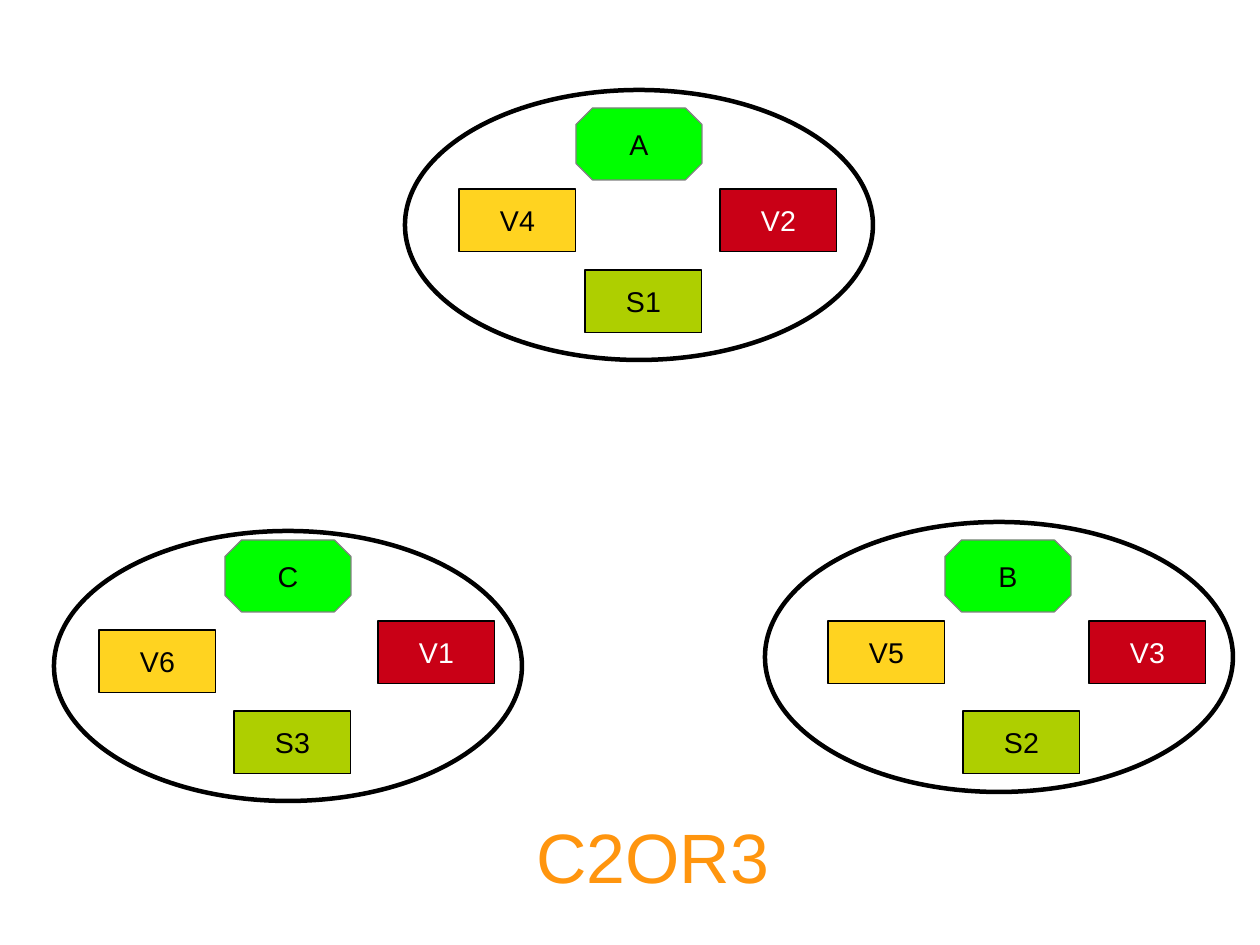
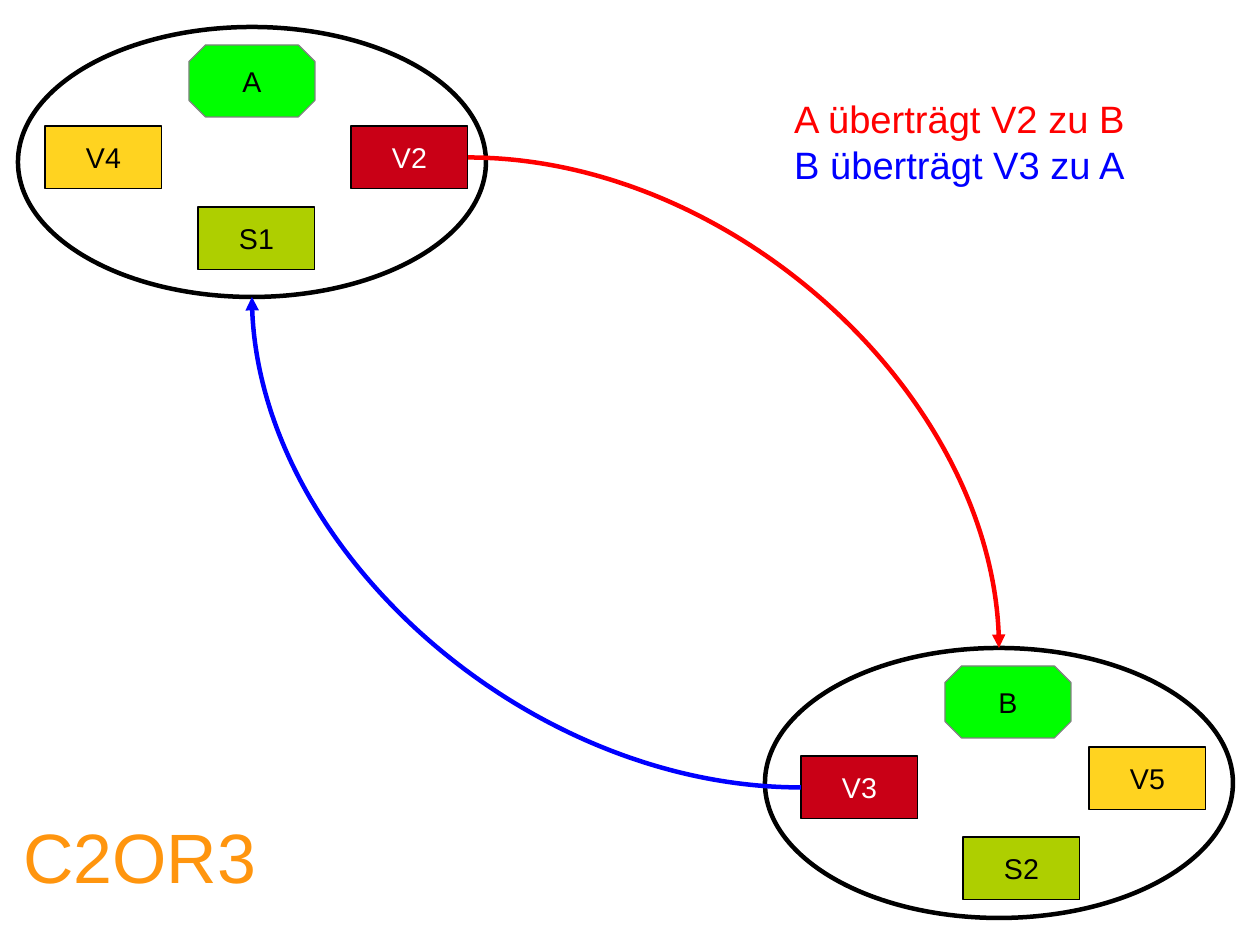
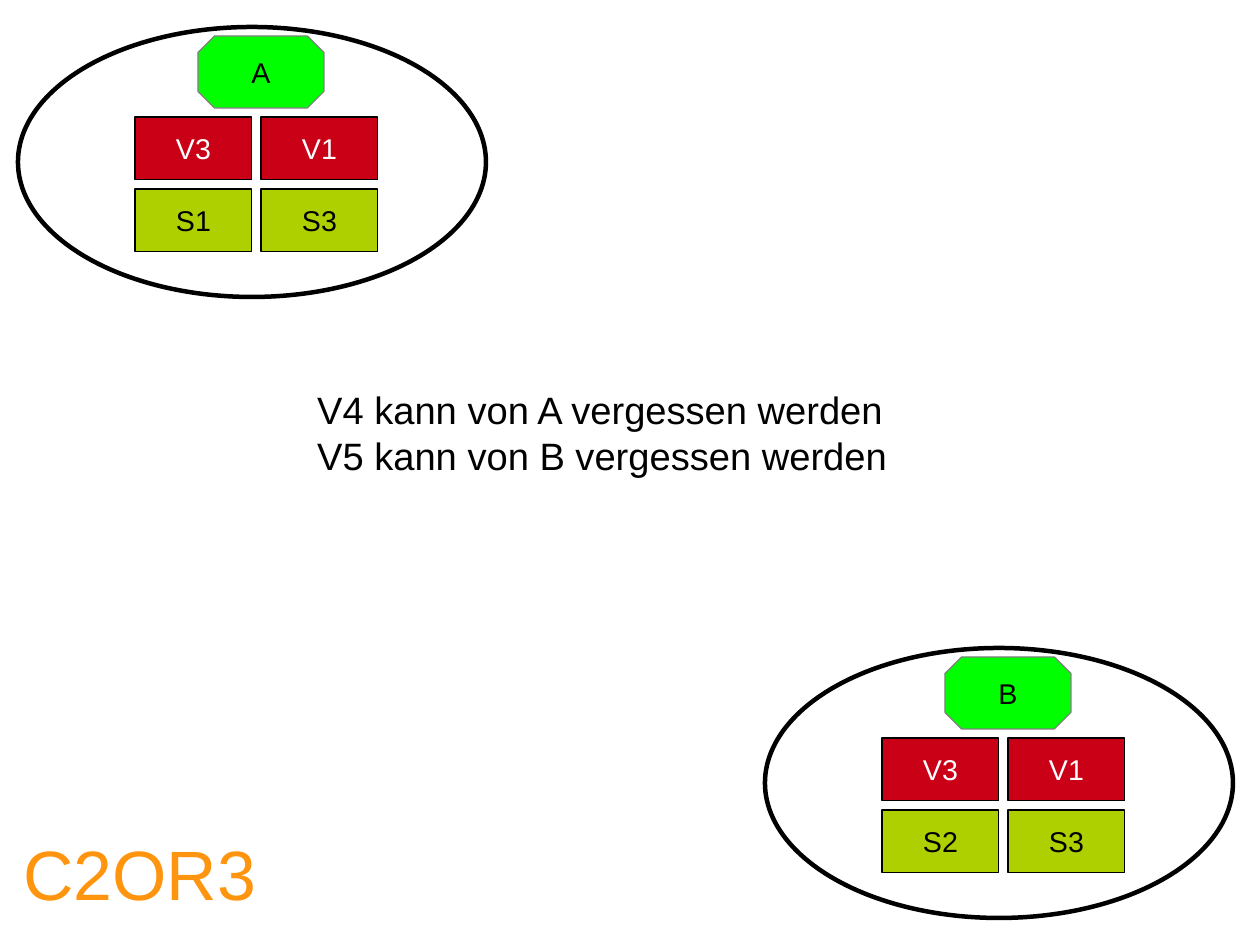
from lxml.etree import SubElement
from pptx import Presentation
from pptx.dml.color import RGBColor
from pptx.enum.shapes import MSO_CONNECTOR as Link, MSO_SHAPE as Shape
from pptx.enum.text import MSO_ANCHOR as Anchor, MSO_AUTO_SIZE as Fit, PP_ALIGN as Align
from pptx.oxml.ns import qn
from pptx.util import Cm, Pt

# Shared look
FONT = "Arial"
BLACK, WHITE, GREY = "000000", "FFFFFF", "808080"
RED, BLUE, ORANGE = "FF0000", "0000FF", "FF950E"
GREEN, GOLD, CRIMSON, LIME = "00FF00", "FFD320", "C90016", "AECF00"
THICK = 2.83

# Sizes in cm
DISC = (10.4, 6)
BADGE = (2.8, 1.6)
CARD = (2.6, 1.4)
GAP = 0.2


def color(code):
    return RGBColor.from_string(code)


def style(para, size, code, align=None):
    para.alignment = align
    for run in para.runs:
        run.font.name = FONT
        run.font.size = Pt(size)
        run.font.color.rgb = color(code)


def add_form(slide, kind, spot, size, fill, edge, width=0):
    form = slide.shapes.add_shape(kind, *map(Cm, spot + size))
    form.shadow.inherit = False
    if fill:
        form.fill.solid()
        form.fill.fore_color.rgb = color(fill)
    else:
        form.fill.background()
    form.line.color.rgb = color(edge)
    form.line.width = Pt(width)
    return form


def label(form, text, code):
    frame = form.text_frame
    frame.text = text
    frame.word_wrap = False
    frame.vertical_anchor = Anchor.MIDDLE
    style(frame.paragraphs[0], 18, code, Align.CENTER)


def add_card(slide, spot, text, fill):
    card = add_form(slide, Shape.RECTANGLE, spot, CARD, fill, BLACK)
    label(card, text, WHITE if fill == CRIMSON else BLACK)
    return card


def add_node(slide, spot, name, shift, cards):
    """Draw a party; the badge and its cards are placed relative to the disc."""
    def place(dx, dy):
        return spot[0] + dx, spot[1] + dy

    disc = add_form(slide, Shape.OVAL, spot, DISC, None, BLACK, THICK)
    badge = add_form(slide, Shape.OCTAGON, place(*shift), BADGE, GREEN, GREY)
    badge.adjustments[0] = 0.23
    label(badge, name, BLACK)
    made = {text: add_card(slide, place(dx, dy), text, fill)
            for text, fill, dx, dy in cards}
    return disc, made


def grid(rows):
    """Lay out rows of cards in even columns inside a disc."""
    return [(text, fill, 2.6 + col * (CARD[0] + GAP), 2 + row * (CARD[1] + GAP))
            for row, (fill, names) in enumerate(rows)
            for col, text in enumerate(names)]


def add_box(slide, spot, size):
    box = slide.shapes.add_textbox(*map(Cm, spot + size))
    frame = box.text_frame
    frame.word_wrap = True
    frame.auto_size = Fit.SHAPE_TO_FIT_TEXT
    return frame


def add_text(slide, spot, size, lines):
    frame = add_box(slide, spot, size)
    frame.text = "\n".join(text for text, _ in lines)
    for para, (_, code) in zip(frame.paragraphs, lines):
        style(para, 24, code)


def add_title(slide, left, top=17.63):
    frame = add_box(slide, (left, top), (5.41, 2.77))
    frame.vertical_anchor = Anchor.MIDDLE
    frame.margin_left = frame.margin_right = 0
    frame.margin_top = frame.margin_bottom = 0
    frame.text = "C2OR3"
    style(frame.paragraphs[0], 44, ORANGE, Align.CENTER)


def add_curve(slide, start, end, code):
    """Draw a quarter bend that leaves sideways and arrives upright."""
    curve = slide.shapes.add_connector(Link.CURVE, *start, *end)
    curve.line.color.rgb = color(code)
    curve.line.width = Pt(THICK)
    props = curve.element.spPr
    props.find(qn("a:prstGeom")).set("prst", "curvedConnector2")
    SubElement(props.find(qn("a:ln")), qn("a:tailEnd"), type="triangle")
    SubElement(props, qn("a:effectLst"))


def show_start(slide):
    add_node(slide, (17, 11.6), "B", (4, 0.4), [
        ("V5", GOLD, 1.4, 2.2), ("S2", LIME, 4.4, 4.2), ("V3", CRIMSON, 7.2, 2.2)])
    add_node(slide, (9, 2), "A", (3.8, 0.4), [
        ("V4", GOLD, 1.2, 2.2), ("S1", LIME, 4, 4), ("V2", CRIMSON, 7, 2.2)])
    add_node(slide, (1.2, 11.8), "C", (3.8, 0.2), [
        ("V6", GOLD, 1, 2.2), ("S3", LIME, 4, 4), ("V1", CRIMSON, 7.2, 2)])
    add_title(slide, 11.8)


def show_swap(slide, spot_a, spot_b):
    disc_b, cards_b = add_node(slide, spot_b, "B", (4, 0.4), [
        ("V5", GOLD, 7.2, 2.2), ("S2", LIME, 4.4, 4.2), ("V3", CRIMSON, 0.8, 2.4)])
    disc_a, cards_a = add_node(slide, spot_a, "A", (3.8, 0.4), [
        ("V4", GOLD, 0.6, 2.2), ("S1", LIME, 4, 4), ("V2", CRIMSON, 7.4, 2.2)])
    add_text(slide, (17.4, 2), (10, 2.13), [
        ("A überträgt V2 zu B", RED), ("B überträgt V3 zu A", BLUE)])

    # Transfers between A and B
    sent, back = cards_a["V2"], cards_b["V3"]
    add_curve(slide, (sent.left + sent.width, sent.top + sent.height // 2),
              (disc_b.left + disc_b.width // 2, disc_b.top), RED)
    add_curve(slide, (back.left, back.top + back.height // 2),
              (disc_a.left + disc_a.width // 2, disc_a.top + disc_a.height), BLUE)
    add_title(slide, 0.4)


def show_end(slide, spot_a, spot_b):
    for spot, name, share in ((spot_b, "B", "S2"), (spot_a, "A", "S1")):
        add_node(slide, spot, name, (4, 0.2), grid([
            (CRIMSON, ("V3", "V1")), (LIME, (share, "S3"))]))
    add_text(slide, (6.8, 8.46), (15.2, 2.13), [
        ("V4 kann von A vergessen werden", BLACK),
        ("V5 kann von B vergessen werden", BLACK)])
    add_title(slide, 0.4, 18)


def main():
    deck = Presentation()
    deck.slide_width, deck.slide_height = Cm(28), Cm(21)
    blank = deck.slide_layouts[6]
    pair = (0.4, 0.6), (17, 14.4)
    show_start(deck.slides.add_slide(blank))
    show_swap(deck.slides.add_slide(blank), *pair)
    show_end(deck.slides.add_slide(blank), *pair)
    deck.save("out.pptx")


if __name__ == "__main__":
    main()
